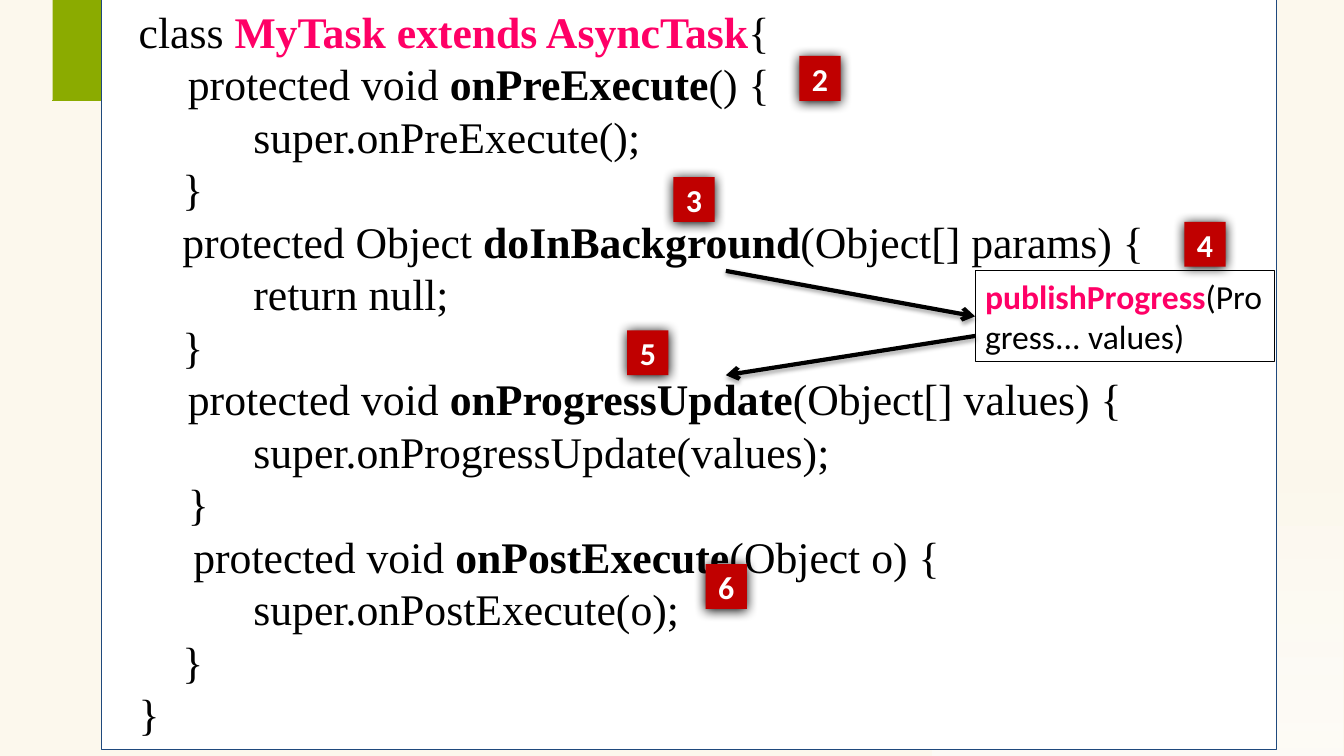
import pptx
import pptx.util
import pptx.dml.color
import pptx.enum.shapes
import pptx.enum.text
import pptx.oxml
import pptx.oxml.ns

Pt = pptx.util.Pt
qn = pptx.oxml.ns.qn
RECTANGLE = pptx.enum.shapes.MSO_SHAPE.RECTANGLE
STRAIGHT = pptx.enum.shapes.MSO_CONNECTOR.STRAIGHT
NAMESPACE = 'xmlns:a="http://schemas.openxmlformats.org/drawingml/2006/main"'
COLOURS = {
    name: pptx.dml.color.RGBColor.from_string(value)
    for name, value in {
        "cream": "FCF8ED", "green": "8BAB00", "white": "FFFFFF", "navy": "1F497D",
        "black": "000000", "pink": "FF0066", "red": "C00000",
    }.items()
}


def add_box(left, top, width, height, fill=None, line=None):
    box = page.shapes.add_shape(RECTANGLE, Pt(left), Pt(top), Pt(width), Pt(height))
    box.shadow.inherit = False
    if fill:
        box.fill.solid()
        box.fill.fore_color.rgb = COLOURS[fill]
    else:
        box.fill.background()
    if line:
        box.line.color.rgb = COLOURS[line]
        box.line.width = Pt(0.75)
    else:
        box.line.fill.background()
    box.text_frame.word_wrap = True
    box.text_frame.vertical_anchor = pptx.enum.text.MSO_ANCHOR.TOP
    return box


def add_span(para, text, font, size, colour="black", bold=False):
    span = para.add_run()
    span.text = text
    span.font.color.rgb = COLOURS[colour]
    for name, value in {"name": font, "size": Pt(size), "bold": bold}.items():
        setattr(span.font, name, value)


deck = pptx.Presentation()
deck.slide_width, deck.slide_height = Pt(960), Pt(540)
page = deck.slides.add_slide(deck.slide_layouts[6])
page.background.fill.solid()
page.background.fill.fore_color.rgb = COLOURS["cream"]

# Backdrop
glow = add_box(666, 329, 293, 211)
glow.fill.gradient()
glow.fill.gradient_angle = 270
for stop, position, colour in zip(glow.fill.gradient_stops, (0, 1), ("cream", "white")):
    stop.position = position
    stop.color.rgb = COLOURS[colour]
for tint, opacity in zip(glow.element.spPr.iter(qn("a:srgbClr")), (95000, 49000)):
    tint.append(pptx.oxml.parse_xml(f'<a:alpha {NAMESPACE} val="{opacity}"/>'))
add_box(37.5, 0, 35, 71.5, "green")
rule = page.shapes.add_connector(STRAIGHT, Pt(37.5), Pt(71.5), Pt(497), Pt(71.5))
rule.line.color.rgb = COLOURS["green"]
rule.line.width = Pt(0.75)
rule.element.spPr.append(pptx.oxml.parse_xml(f"<a:effectLst {NAMESPACE}/>"))

# Code: each paragraph holds (text, style) spans, with \v as a line break
CODE = [
    [("class ", ""), ("MyTask extends AsyncTask", "pink"),
     ("{\v       protected void ", ""), ("onPreExecute", "bold"),
     ("() {\v             super.onPreExecute();", "")],
    [("    }", "")],
    [("    protected Object ", ""), ("doInBackground", "bold"),
     ("(Object[] params) {\v             return null;", "")],
    [("    }\v       protected void ", ""), ("onProgressUpdate", "bold"),
     ("(Object[] values) {\v             super.onProgressUpdate(values);\v       }", "")],
    [("     protected void ", ""), ("onPostExecute", "bold"),
     ("(Object o) {\v             super.onPostExecute(o);", "")],
    [("    }", "")],
    [("}", "")],
]
listing = add_box(72.5, -0.5, 839, 536, "white", "navy")
for index, spans in enumerate(CODE):
    frame = listing.text_frame
    para = frame.add_paragraph() if index else frame.paragraphs[0]
    para.alignment = pptx.enum.text.PP_ALIGN.LEFT
    para.line_spacing = Pt(37.5)
    properties = para._p.get_or_add_pPr()
    properties.set("marL", "0")
    properties.set("indent", str(Pt(19.5)))
    for text, style in spans:
        for part, piece in enumerate(text.split("\v")):
            if part:
                para.add_line_break()
            add_span(para, piece, "Times New Roman", 31.2,
                     "pink" if style == "pink" else "black", style != "")

# Progress callout and its arrows
callout = add_box(696.5, 193.5, 214, 65, line="black")
para = callout.text_frame.paragraphs[0]
para.alignment = pptx.enum.text.PP_ALIGN.LEFT
add_span(para, "publishProgress", "Calibri", 24, "pink", True)
add_span(para, "(Progress... values)", "Calibri", 24)


ARROWS = [(518.5, 193.5, 696.5, 226), (696.5, 240, 518.5, 268)]
arrows = [page.shapes.add_connector(STRAIGHT, *map(Pt, ends)) for ends in ARROWS]
arrows[0].end_connect(callout, 1)
for arrow in arrows:
    arrow.line.color.rgb = COLOURS["black"]
    arrow.line.width = Pt(3)
    arrow.line._get_or_add_ln().append(
        pptx.oxml.parse_xml(f'<a:tailEnd {NAMESPACE} type="arrow"/>'))

# Numbered step badges
BADGES = [("2", 571, 40), ("3", 481, 126.5), ("4", 846, 158.5),
          ("5", 448, 236), ("6", 504, 403)]
badges = []
for number, left, top in BADGES:
    badge = add_box(left, top, 29.5, 32, "red")
    badge.text_frame.vertical_anchor = pptx.enum.text.MSO_ANCHOR.MIDDLE
    para = badge.text_frame.paragraphs[0]
    para.alignment = pptx.enum.text.PP_ALIGN.CENTER
    add_span(para, number, "Calibri", 22.8, "white", True)
    badges.append(badge)

# Shadows: blur, distance and opacity
for shapes, blur, distance, opacity in ((badges, 8.5, 1, 100), (arrows, 3.1, 1.8, 35)):
    for shape in shapes:
        properties = shape.element.spPr
        for effects in properties.findall(qn("a:effectLst")):
            properties.remove(effects)
        properties.append(pptx.oxml.parse_xml(
            f'<a:effectLst {NAMESPACE}><a:outerShdw blurRad="{Pt(blur)}" '
            f'dist="{Pt(distance)}" dir="5400000" rotWithShape="0"><a:srgbClr '
            f'val="{COLOURS["black"]}"><a:alpha val="{opacity * 1000}"/>'
            '</a:srgbClr></a:outerShdw></a:effectLst>'))

deck.save("out.pptx")
